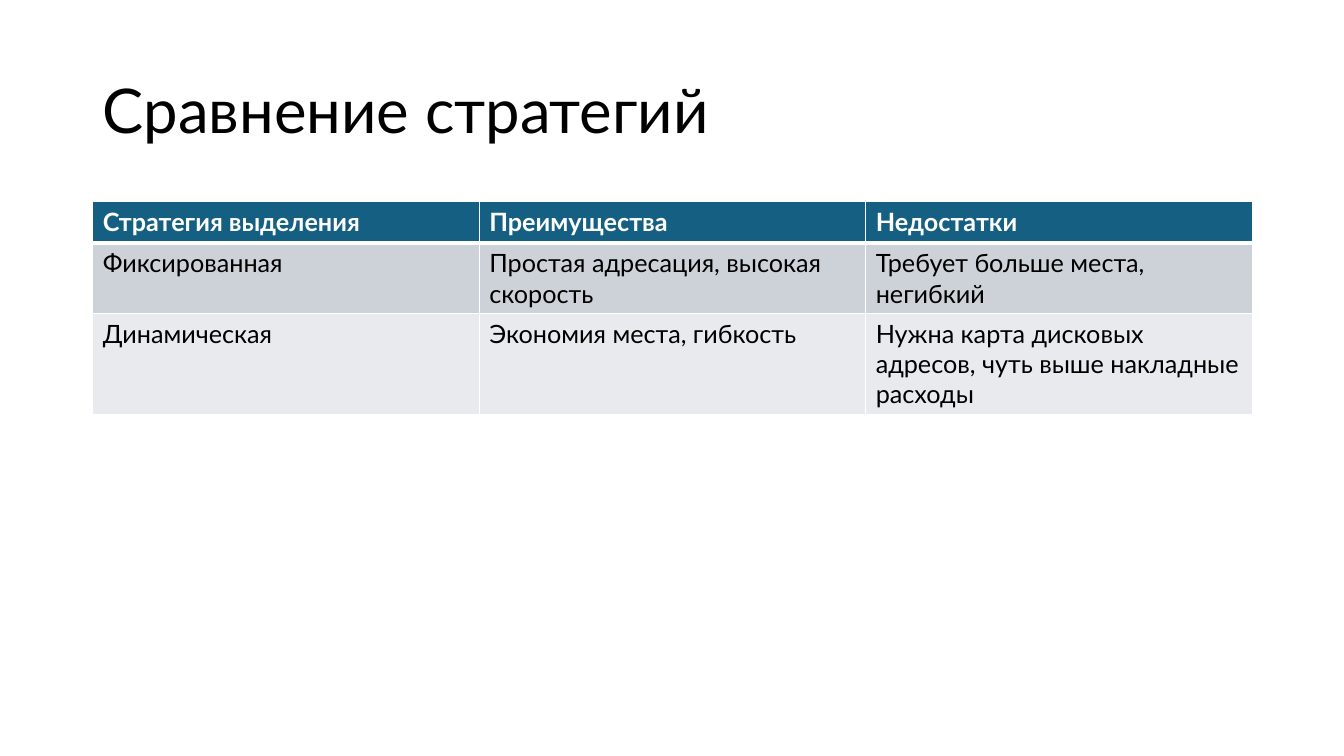
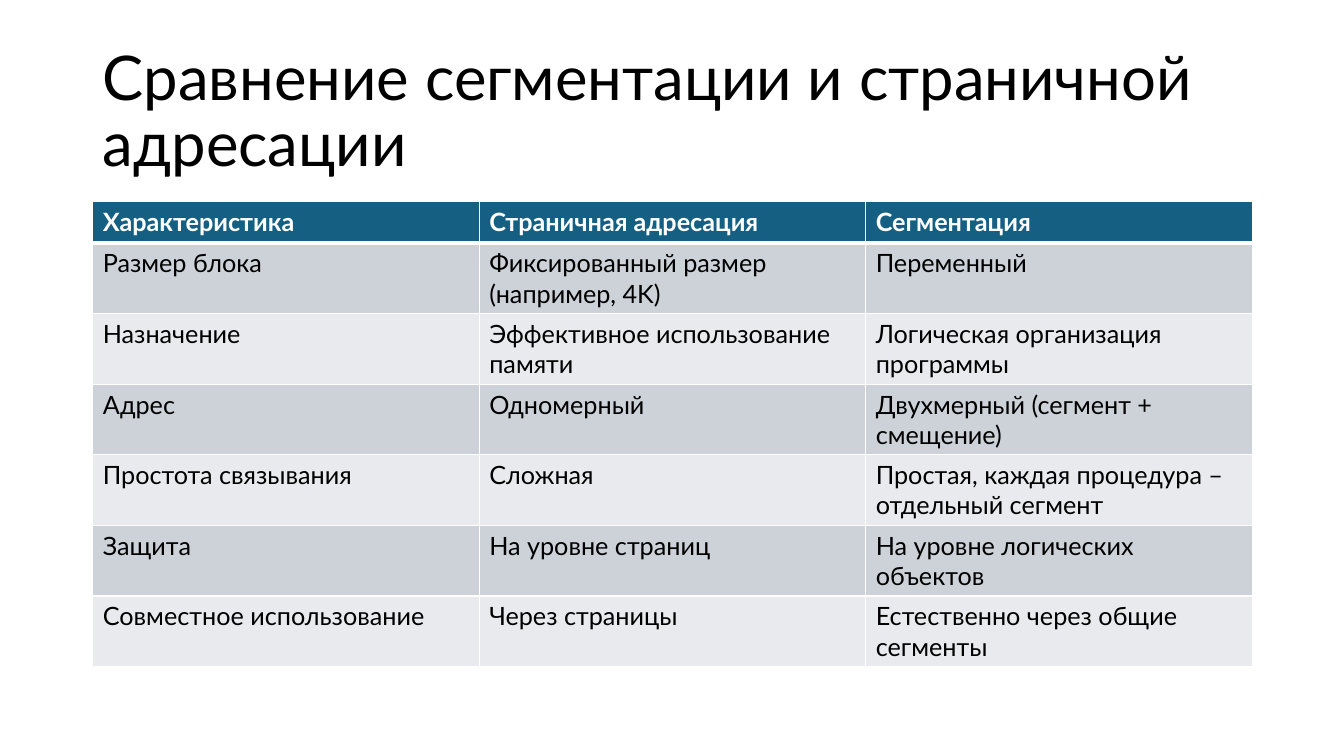
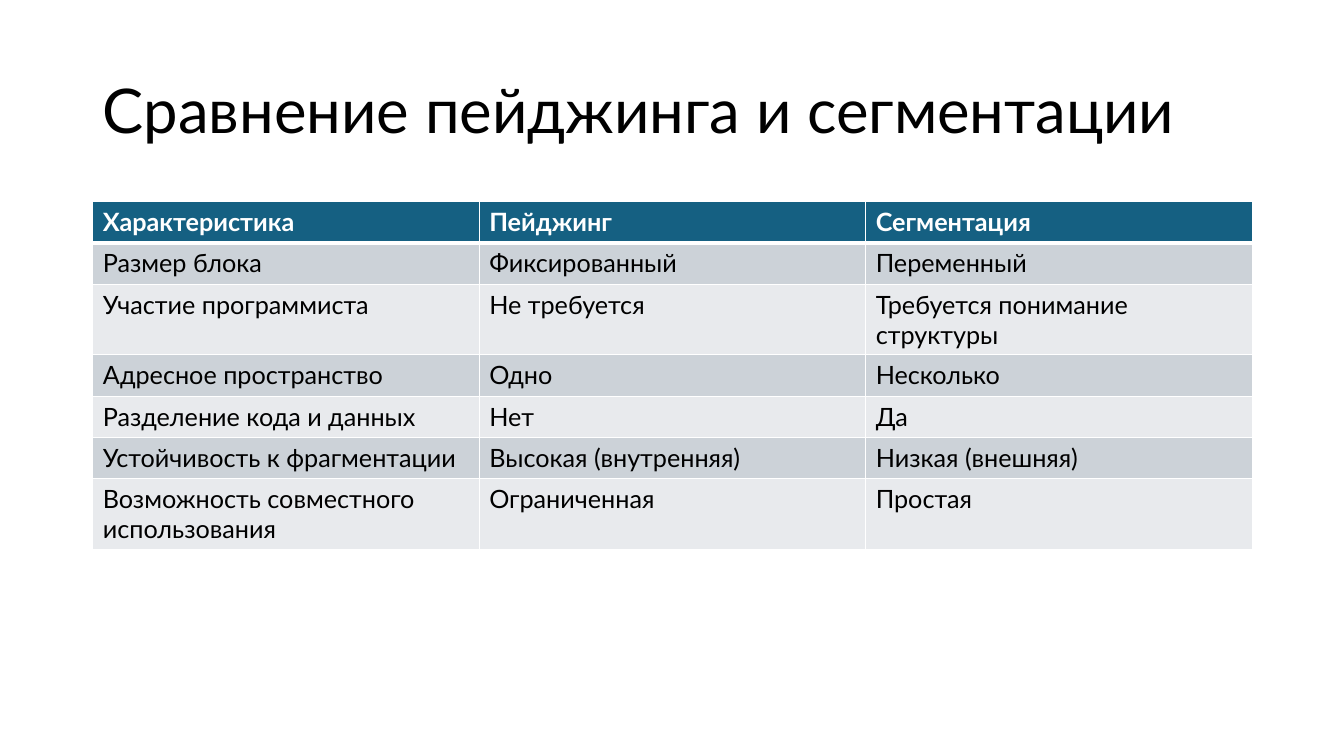
"""Build three slides that compare memory management approaches in tables."""
from lxml import etree
from pptx import Presentation
from pptx.dml.color import RGBColor
from pptx.enum.text import MSO_ANCHOR, MSO_AUTO_SIZE, PP_ALIGN
from pptx.oxml.ns import qn
from pptx.util import Inches, Pt

MIDDLE = MSO_ANCHOR.MIDDLE
NO_AUTOFIT = MSO_AUTO_SIZE.NONE
LEFT = PP_ALIGN.LEFT

FONT = "Lato"
BLACK = RGBColor(0x00, 0x00, 0x00)
WHITE = RGBColor(0xFF, 0xFF, 0xFF)
HEADER_BLUE = RGBColor(0x15, 0x60, 0x82)
BANDS = (RGBColor(0xCC, 0xD2, 0xD8), RGBColor(0xE8, 0xEA, 0xED))

MARGIN_LEFT = Inches(0.92)
CONTENT_WIDTH = Inches(11.5)
TITLE_TOP, TITLE_HEIGHT = Inches(0.4), Inches(1.45)
TABLE_TOP, ROW_HEIGHT = Inches(2), Inches(0.41)
THIN, THICK = Pt(1), Pt(3)
TITLE_ONLY_LAYOUT = 5

COMPARISONS = [
    ("Сравнение стратегий", [
        ("Стратегия выделения", "Преимущества", "Недостатки"),
        ("Фиксированная", "Простая адресация, высокая скорость",
         "Требует больше места, негибкий"),
        ("Динамическая", "Экономия места, гибкость",
         "Нужна карта дисковых адресов, чуть выше накладные расходы"),
    ]),
    ("Сравнение сегментации и страничной адресации", [
        ("Характеристика", "Страничная адресация", "Сегментация"),
        ("Размер блока", "Фиксированный размер (например, 4K)", "Переменный"),
        ("Назначение", "Эффективное использование памяти",
         "Логическая организация программы"),
        ("Адрес", "Одномерный", "Двухмерный (сегмент + смещение)"),
        ("Простота связывания", "Сложная",
         "Простая, каждая процедура – отдельный сегмент"),
        ("Защита", "На уровне страниц", "На уровне логических объектов"),
        ("Совместное использование", "Через страницы",
         "Естественно через общие сегменты"),
    ]),
    ("Сравнение пейджинга и сегментации", [
        ("Характеристика", "Пейджинг", "Сегментация"),
        ("Размер блока", "Фиксированный", "Переменный"),
        ("Участие программиста", "Не требуется",
         "Требуется понимание структуры"),
        ("Адресное пространство", "Одно", "Несколько"),
        ("Разделение кода и данных", "Нет", "Да"),
        ("Устойчивость к фрагментации", "Высокая (внутренняя)",
         "Низкая (внешняя)"),
        ("Возможность совместного использования", "Ограниченная", "Простая"),
    ]),
]


def set_font(paragraph, size, color, bold=False):
    """Apply the deck font to a whole paragraph."""
    font = paragraph.font
    font.name, font.size, font.bold = FONT, Pt(size), bold
    font.color.rgb = color


def add_title(slide, text):
    """Fill and format the title placeholder."""
    title = slide.shapes.title
    title.left, title.top = MARGIN_LEFT, TITLE_TOP
    title.width, title.height = CONTENT_WIDTH, TITLE_HEIGHT
    frame = title.text_frame
    frame.text = text
    frame.vertical_anchor = MIDDLE
    frame.auto_size = NO_AUTOFIT
    paragraph = frame.paragraphs[0]
    paragraph.alignment = LEFT
    paragraph.line_spacing = 0.9
    set_font(paragraph, 44, BLACK)


def set_borders(cell, top, bottom):
    """Draw white borders, with the given top and bottom widths."""
    properties = cell._tc.get_or_add_tcPr()
    widths = {"a:lnL": THIN, "a:lnR": THIN, "a:lnT": top, "a:lnB": bottom}
    for side, width in widths.items():
        line = etree.SubElement(properties, qn(side), w=str(width))
        fill = etree.SubElement(line, qn("a:solidFill"))
        etree.SubElement(fill, qn("a:srgbClr"), val=str(WHITE))


def format_cell(cell, text, row):
    """Write a cell in the header style or in its band colour."""
    is_header = row == 0
    cell.text = text
    set_font(cell.text_frame.paragraphs[0], 18,
             WHITE if is_header else BLACK, is_header)
    set_borders(cell, THICK if row == 1 else THIN,
                THICK if is_header else THIN)
    cell.fill.solid()
    cell.fill.fore_color.rgb = (
        HEADER_BLUE if is_header else BANDS[(row - 1) % len(BANDS)])


def add_comparison_table(slide, rows):
    """Add a table with equal columns and a header row."""
    table = slide.shapes.add_table(
        len(rows), len(rows[0]), MARGIN_LEFT, TABLE_TOP,
        CONTENT_WIDTH, ROW_HEIGHT * len(rows)).table
    for row, texts in enumerate(rows):
        for column, text in enumerate(texts):
            format_cell(table.cell(row, column), text, row)


def main():
    """Build and save the presentation."""
    presentation = Presentation()
    presentation.slide_width = Inches(13.33)
    presentation.slide_height = Inches(7.5)
    layout = presentation.slide_layouts[TITLE_ONLY_LAYOUT]
    for title, rows in COMPARISONS:
        slide = presentation.slides.add_slide(layout)
        add_title(slide, title)
        add_comparison_table(slide, rows)
    presentation.save("out.pptx")


if __name__ == "__main__":
    main()
